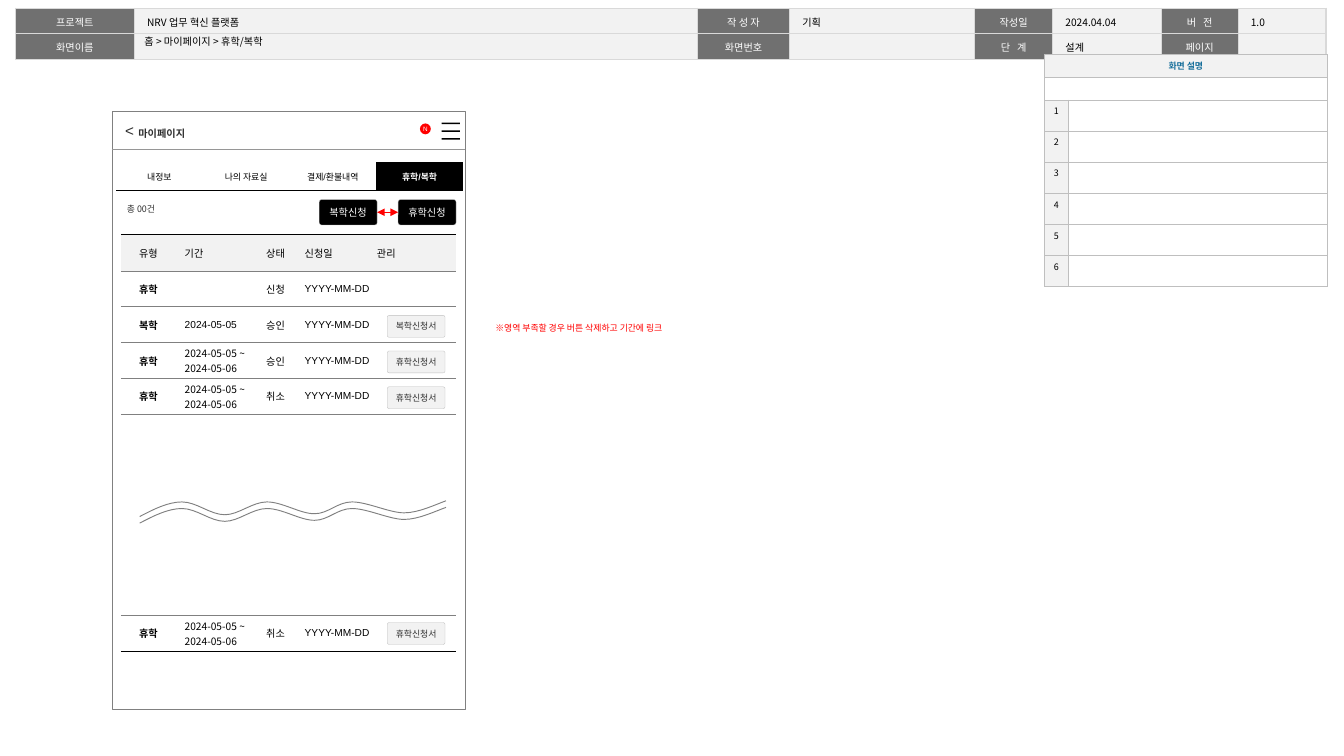
from dataclasses import dataclass, field
from typing import Any, NamedTuple

from lxml.etree import SubElement
from pptx import Presentation
from pptx.dml.color import RGBColor
from pptx.enum.shapes import MSO_CONNECTOR, MSO_SHAPE
from pptx.enum.text import MSO_ANCHOR, PP_ALIGN
from pptx.oxml.ns import qn
from pptx.util import Pt

COLORS = {
    "black": "000000", "white": "FFFFFF", "ink": "2E2E2E", "label": "707070",
    "pale": "F2F2F2", "rule": "D9D9D9", "edge": "BFBFBF", "divider": "969696",
    "gray": "808080", "red": "FF0000", "heading": "176F9B",
}
SANS, KOREAN = "Arial", "Noto Sans CJK KR"
INSETS = (7.2, 3.6, 7.2, 3.6)
TIGHT = (3, 3.6, 3, 3.6)
MIDDLE, TOP = MSO_ANCHOR.MIDDLE, MSO_ANCHOR.TOP
CENTER = PP_ALIGN.CENTER


@dataclass
class Cell:
    text: str = ""
    fill: str = "white"
    margins: tuple = TIGHT
    anchor: Any = MIDDLE
    borders: dict = field(default_factory=dict)
    style: dict = field(default_factory=dict)


class Button(NamedTuple):
    text: str
    left: float
    top: float
    height: float
    fill: str
    style: dict


def rgb(name: str) -> RGBColor:
    return RGBColor.from_string(COLORS[name])


def write(frame, text: str, *, size: float = 8, font: str = KOREAN, color: str = "black",
          bold: bool = False, align=PP_ALIGN.LEFT, line_spacing: float = 1.0,
          tracking: float = 0, margins=INSETS, anchor=TOP) -> None:
    frame.word_wrap = True
    frame.vertical_anchor = anchor
    frame.margin_left, frame.margin_top, frame.margin_right, frame.margin_bottom = map(Pt, margins)
    para = frame.paragraphs[0]
    para.alignment, para.line_spacing = align, line_spacing
    span = para.add_run()
    span.text = text
    span.font.size, span.font.bold, span.font.name = Pt(size), bold, font
    span.font.color.rgb = rgb(color)
    properties = span.font._element
    SubElement(properties, qn("a:ea"), typeface=KOREAN)
    if tracking:
        properties.set("spc", str(round(tracking * 100)))


def paint(shape, fill: str | None, line: str | None, width: float = 0.25) -> None:
    shape.shadow.inherit = False
    if fill:
        shape.fill.solid()
        shape.fill.fore_color.rgb = rgb(fill)
    else:
        shape.fill.background()
    if line:
        shape.line.color.rgb = rgb(line)
        shape.line.width = Pt(width)
    else:
        shape.line.fill.background()


def add_box(page, kind, left: float, top: float, width: float, height: float,
            fill: str | None, line: str | None, width_of_line: float = 0.25):
    box = page.shapes.add_shape(kind, Pt(left), Pt(top), Pt(width), Pt(height))
    paint(box, fill, line, width_of_line)
    return box


def add_label(page, text: str, left: float, top: float, width: float, height: float, **style) -> None:
    box = page.shapes.add_textbox(Pt(left), Pt(top), Pt(width), Pt(height))
    write(box.text_frame, text, **style)


def add_button(page, button: Button):
    box = add_box(page, MSO_SHAPE.ROUNDED_RECTANGLE, button.left, button.top, 45.6,
                  button.height, button.fill, "edge")
    box.adjustments[0] = 0.1
    write(box.text_frame, button.text, align=CENTER, anchor=MIDDLE, **button.style)
    return box


def add_link(page, kind, start: tuple, end: tuple, color: str, width: float):
    link = page.shapes.add_connector(kind, *map(Pt, start + end))
    link.line.color.rgb = rgb(color)
    link.line.width = Pt(width)
    SubElement(link._element.spPr, qn("a:effectLst"))
    return link


def set_border(cell, side: str, border: tuple | None) -> None:
    properties = cell._tc.get_or_add_tcPr()
    if border is None:
        SubElement(SubElement(properties, qn(f"a:ln{side}"), w="0"), qn("a:noFill"))
        return
    color, width = border
    line = SubElement(properties, qn(f"a:ln{side}"), w=str(Pt(width)))
    SubElement(SubElement(line, qn("a:solidFill")), qn("a:srgbClr"), val=COLORS[color])


def add_grid(page, left: float, top: float, widths: list, heights: list, rows: list):
    table = page.shapes.add_table(len(heights), len(widths), Pt(left), Pt(top),
                                  Pt(sum(widths)), Pt(sum(heights))).table
    table.first_row = table.horz_banding = False
    for column, width in zip(table.columns, widths):
        column.width = Pt(width)
    for row, height, contents in zip(table.rows, heights, rows):
        row.height = Pt(height)
        for cell, content in zip(row.cells, contents):
            for side in "LRTB":
                set_border(cell, side, content.borders.get(side))
            cell.fill.solid()
            cell.fill.fore_color.rgb = rgb(content.fill)
            cell.vertical_anchor = content.anchor
            (cell.margin_left, cell.margin_top,
             cell.margin_right, cell.margin_bottom) = map(Pt, content.margins)
            if content.text:
                write(cell.text_frame, content.text, margins=content.margins,
                      anchor=content.anchor, **content.style)
            else:
                SubElement(cell.text_frame.paragraphs[0]._p, qn("a:endParaRPr"), sz="700")
    return table


def boxed(color: str, width: float) -> dict:
    return dict.fromkeys("LRTB", (color, width))


def add_document_header(page) -> None:
    rows = [["프로젝트", "NRV 업무 혁신 플랫폼", "작 성 자", "기획", "작성일", "2024.04.04", "버 전", "1.0"],
            ["화면이름", "", "화면번호", "", "단 계", "설계", "페이지", ""]]
    label = dict(color="white", align=CENTER, line_spacing=1.08)
    cells = [[Cell(text, "pale" if i % 2 else "label", (10, 3.9, 10, 3.6), TOP, boxed("rule", 1),
                   dict(line_spacing=1.08) if i % 2
                   else label | {"tracking": 1.8 if text in ("버 전", "단 계") else 0})
              for i, text in enumerate(row)] for row in rows]
    add_grid(page, 12.2, 6.5, [93.6, 443.5, 72.6, 145.6, 61.6, 85.5, 60.5, 69.2], [17.5] * 2, cells)


def add_description(page) -> None:
    edge = boxed("edge", 0.25)
    number = dict(size=7, align=CENTER)
    rows = [[Cell("화면 설명", "pale", borders=edge, style=number | {"color": "heading", "bold": True}),
             Cell(borders=edge)], [Cell(borders=edge), Cell(borders=edge)]]
    rows += [[Cell(str(n), "pale", anchor=TOP, borders=edge, style=number), Cell(borders=edge)]
             for n in range(1, 7)]
    table = add_grid(page, 822.4, 42.7, [18.9, 204], [18] * 2 + [24.5] * 6, rows)
    for row in range(2):
        table.cell(row, 0).merge(table.cell(row, 1))


def add_tabs(page) -> None:
    tabs = ["내정보", "나의 자료실", "결제/환불내역", "휴학/복학"]
    cells = []
    for tab in tabs:
        active = tab == tabs[-1]
        cells.append(Cell(tab, "black" if active else "white", borders={"B": ("black", 1)},
                          style=dict(size=7, font=SANS, align=CENTER, bold=active,
                                     color="white" if active else "black")))
    add_grid(page, 91.4, 127.7, [68.3] * 4, [22.4], [cells])


def add_requests(page) -> None:
    date, period = "YYYY-MM-DD", "2024-05-05 ~ 2024-05-06"
    rows = [["", "유형", "기간", "상태", "신청일", "관리"],
            ["", "휴학", "", "신청", date, ""],
            ["", "복학", "2024-05-05", "승인", date, ""],
            ["", "휴학", period, "승인", date, ""],
            ["", "휴학", period, "취소", date, ""],
            [""] * 6,
            ["", "휴학", period, "취소", date, ""]]
    thin, thick = ("gray", 0.25), ("black", 1)
    last = len(rows) - 1
    cells = [[Cell(text, "white" if r else "pale", (5.7 if c < 4 else 0, 0, 0, 0),
                   borders={"T": thin if r else thick, "B": thick if r == last else thin},
                   style=dict(font=KOREAN if text == period else SANS, bold=c == 1 and r > 0))
              for c, text in enumerate(row)] for r, row in enumerate(rows)]
    add_grid(page, 95.2, 184.9, [8.6, 36, 64.2, 36, 56.9, 62.4], [28.3] * 5 + [158.2, 28.3], cells)


def add_wave(page, shift: float, color: str, width: float) -> None:
    """Draw one wavy stroke, turning each three points into a Bézier curve."""
    knots = [(110, 406.8), (121, 401), (132.5, 395.3), (143.3, 395.3), (154.8, 395.3),
             (165.6, 405.4), (177.1, 405.4), (187.9, 405.4), (198.7, 395.3), (210.2, 395.3),
             (222.5, 395.3), (236.2, 404.6), (247.7, 404.6), (258.5, 404.6), (265.7, 395.3),
             (277.2, 395.3), (289.4, 395.3), (306.7, 403.9), (318.2, 403.9), (329.8, 403.9),
             (342.7, 397.4), (351.2, 394.4)]
    points = [(Pt(x), Pt(y + shift)) for x, y in knots]
    outline = page.shapes.build_freeform(*points[0])
    outline.add_line_segments(points[1:], close=False)
    wave = outline.convert_to_shape()
    lines = list(wave._element.iter(qn("a:lnTo")))
    route = lines[0].getparent()
    for start in range(0, len(lines), 3):
        curve = SubElement(route, qn("a:cubicBezTo"))
        for line in lines[start:start + 3]:
            curve.append(line[0])
            route.remove(line)
    paint(wave, None, color, width)


def add_menu_icon(page) -> None:
    left, right, thickness = 347.8, 362.2, 1.2
    tops = [96.6, 102.7, 108.8]
    bars = page.shapes.build_freeform(Pt(left), Pt(tops[0]))
    for top in tops:
        if top != tops[0]:
            bars.move_to(Pt(left), Pt(top))
        bars.add_line_segments([(Pt(x), Pt(y)) for x, y in
                                ((left, top + thickness), (right, top + thickness), (right, top))])
    paint(bars.convert_to_shape(), "black", None)


def main() -> None:
    deck = Presentation()
    deck.slide_width, deck.slide_height = Pt(1058.4), Pt(595.4)
    page = deck.slides.add_slide(deck.slide_layouts[5])
    add_document_header(page)
    add_box(page, MSO_SHAPE.RECTANGLE, 88.6, 87.8, 277.9, 470.9, None, "gray", 0.5)
    add_link(page, MSO_CONNECTOR.STRAIGHT, (88.2, 118), (366.5, 118), "divider", 0.5)
    badge = add_box(page, MSO_SHAPE.OVAL, 330.7, 97.2, 8.6, 8.6, "red", None)
    write(badge.text_frame, "N", size=5, font=SANS, color="white", align=CENTER,
          margins=(0, 0, 0, 0), anchor=MIDDLE)
    add_label(page, "<", 91.4, 92.2, 23, 21.6, size=12, font=SANS, color="ink")
    add_menu_icon(page)
    add_tabs(page)

    title = page.shapes.title
    title.left, title.top, title.width, title.height = map(Pt, (105.8, 26.8, 277.2, 11.5))
    write(title.text_frame, "홈 > 마이페이지 > 휴학/복학", margins=(7.9, 3.6, 7.9, 3.6), anchor=MIDDLE)
    page.shapes._spTree.append(title._element)

    add_description(page)
    add_label(page, "마이페이지", 108.9, 92.2, 142.6, 20.2, font=SANS, color="ink", bold=True,
              line_spacing=1.5, margins=(0, 3.6, 0, 3.6))
    add_label(page, "총 00건", 92.9, 157, 38.9, 15.8, size=7, color="ink")
    action = dict(color="white", margins=TIGHT)
    leave = add_button(page, Button("휴학신청", 313.5, 157.2, 20, "black", action))
    comeback = add_button(page, Button("복학신청", 251.4, 157.2, 20, "black", action))
    swap = add_link(page, MSO_CONNECTOR.ELBOW, (313.5, 167.2), (297, 167.2), "red", 1)
    swap.begin_connect(leave, 1)
    swap.end_connect(comeback, 3)
    for end in ("headEnd", "tailEnd"):
        SubElement(swap.line._get_or_add_ln(), qn(f"a:{end}"), type="triangle")

    add_requests(page)
    form = dict(size=7, font=SANS, color="ink", margins=(3, 0, 3, 0))
    for text, top in (("복학신청서", 248.4), ("휴학신청서", 276.4), ("휴학신청서", 304.6), ("휴학신청서", 490.3)):
        add_button(page, Button(text, 304.9, top, 17.3, "pale", form))
    for shift, color, width in ((3.2, "white", 4.5), (0, "gray", 0.75), (5.2, "gray", 0.75)):
        add_wave(page, shift, color, width)
    add_label(page, "※영역 부족할 경우 버튼 삭제하고 기간에 링크", 383, 250.6, 162.7, 15.8, size=7, color="red")
    deck.save("out.pptx")


if __name__ == "__main__":
    main()
